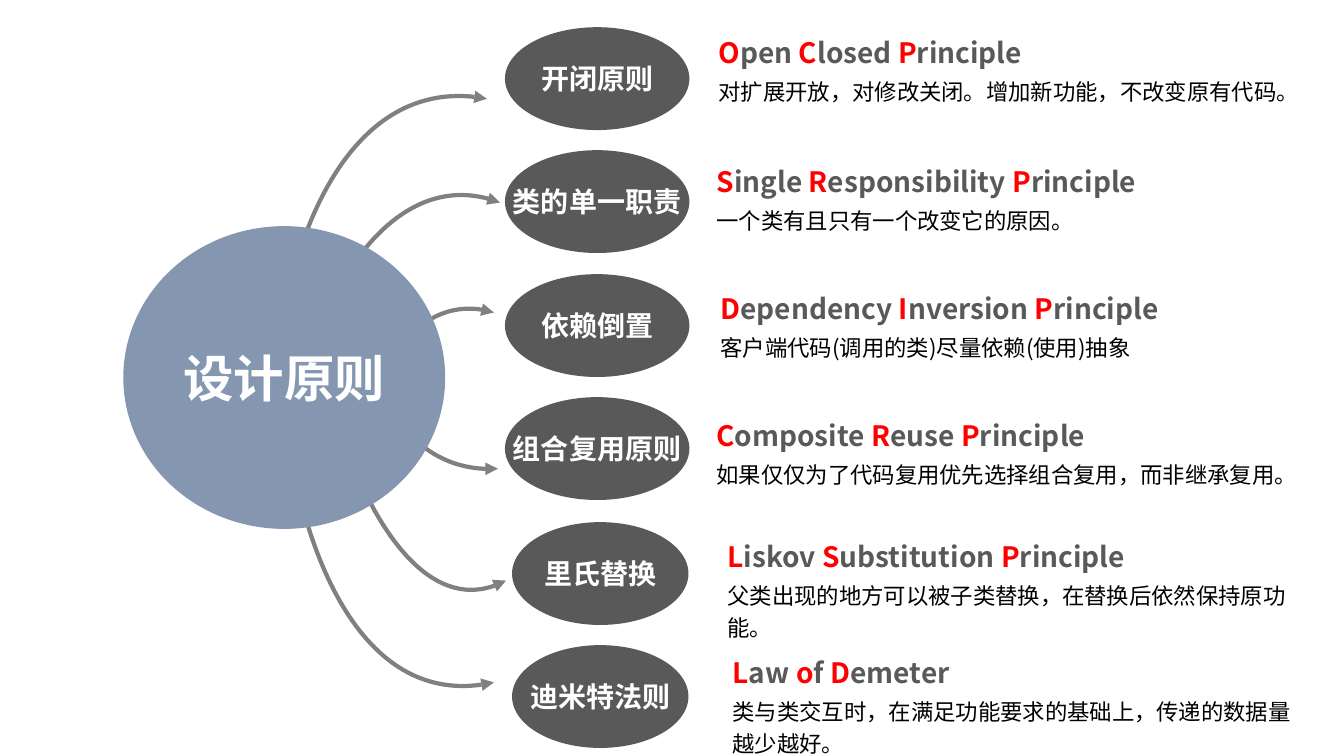
from itertools import cycle
from lxml import etree
from pptx import Presentation
from pptx.dml.color import RGBColor
from pptx.enum.shapes import MSO_SHAPE
from pptx.enum.text import MSO_ANCHOR, MSO_AUTO_SIZE, PP_ALIGN
from pptx.oxml.ns import qn
from pptx.util import Inches, Pt

OVAL = MSO_SHAPE.OVAL
MIDDLE = MSO_ANCHOR.MIDDLE
GROW = MSO_AUTO_SIZE.SHAPE_TO_FIT_TEXT
LEFT, CENTER = PP_ALIGN.LEFT, PP_ALIGN.CENTER
FONT = "Noto Sans CJK SC"
RED, DARK, GRAY, BLUE = "FF0000", "595959", "808080", "8496B0"
WHITE, BLACK = "FFFFFF", "000000"


def color(code):
    return RGBColor.from_string(code)


def write(shape, text, size=20, bold=True, colors=(WHITE,), align=LEFT,
          wrap=True, space=None):
    """Fill a shape with text; "|" parts the runs, which take colors in turn."""
    frame = shape.text_frame
    frame.word_wrap = wrap
    para = frame.paragraphs[0]
    para.alignment = align
    para.line_spacing = space
    for part, code in zip(text.split("|"), cycle(colors)):
        run = para.add_run()
        run.text = part
        run.font.size = Pt(size)
        run.font.bold = bold
        run.font.color.rgb = color(code)
        run.font.name = FONT
        east = etree.SubElement(run.font._element, qn("a:ea"))
        east.set("typeface", FONT)


deck = Presentation()
deck.slide_width, deck.slide_height = Inches(40 / 3), Inches(7.5)
slide = deck.slides.add_slide(deck.slide_layouts[6])
shapes = slide.shapes

# Curved arrows: tip, bend and end; the curve runs straight into its end
arrows = [
    ((4.83, 0.98), (3.29, 0.69), (2.88, 2.84)),
    ((4.94, 4.65), (4.11, 4.70), (3.82, 3.94)),
    ((4.96, 2.01), (3.92, 1.61), (3.32, 2.94)),
    ((4.90, 6.77), (3.30, 7.13), (2.92, 4.66)),
    ((5.02, 5.76), (4.07, 6.26), (3.48, 4.55)),
    ((4.90, 3.10), (4.28, 2.91), (3.93, 3.49)),
]
for tip, bend, end in arrows:
    path = shapes.build_freeform(Inches(tip[0]), Inches(tip[1]))
    path.add_line_segments([(Inches(end[0]), Inches(end[1]))], close=False)
    curve = path.convert_to_shape()
    curve.shadow.inherit = False
    curve.fill.background()
    curve.line.color.rgb = color(GRAY)
    curve.line.width = Pt(3)
    head = etree.SubElement(curve.line._get_or_add_ln(), qn("a:headEnd"))
    head.set("type", "triangle")
    # Turn the straight segment into a Bezier curve
    line = next(curve._element.iter(qn("a:lnTo")))
    line.getparent().append(etree.Element(qn("a:cubicBezTo")))
    bezier = line.getparent()[-1]
    for x, y in (bend, end, end):
        point = etree.SubElement(bezier, qn("a:pt"))
        point.set("x", str(Inches(x) - curve.left))
        point.set("y", str(Inches(y) - curve.top))
    line.getparent().remove(line)

# Principles: oval left, top, width; text left, top; body height;
# name, title, body
rows = [
    (5.01, 3.94, 1.83, 7.01, 4.10, 0.49, "组合复用原则",
     "C|omposite |R|euse |P|rinciple",
     "如果仅仅为了代码复用优先选择组合复用，而非继承复用。"),
    (5.01, 2.72, 1.83, 7.05, 2.84, 0.52, "依赖倒置",
     "D|ependency| I|nversion |P|rinciple",
     "客户端代码(调用的类)尽量依赖(使用)抽象"),
    (5.01, 1.49, 1.83, 7.01, 1.58, 0.49, "类的单一职责",
     "S|ingle |R|esponsibility |P|rinciple",
     "一个类有且只有一个改变它的原因。"),
    (5.01, 0.27, 1.83, 7.03, 0.30, 0.61, "开闭原则",
     "O|pen |C|losed |P|rinciple",
     "对扩展开放，对修改关闭。增加新功能，不改变原有代码。"),
    (5.08, 6.40, 1.75, 7.17, 6.45, 0.49, "迪米特法则",
     "L|aw |o|f |D|emeter",
     "类与类交互时，在满足功能要求的基础上，传递的数据量越少越好。"),
    (5.08, 5.18, 1.75, 7.12, 5.30, 0.52, "里氏替换",
     "L|iskov| S|ubstitution |P|rinciple",
     "父类出现的地方可以被子类替换，在替换后依然保持原功能。"),
]
for x, y, w, left, top, tall, name, title, body in rows:
    group = shapes.add_group_shape().shapes
    oval = group.add_shape(OVAL, Inches(x), Inches(y), Inches(w), Inches(1.02))
    oval.shadow.inherit = False
    oval.fill.solid()
    oval.fill.fore_color.rgb = color(DARK)
    oval.line.fill.background()
    oval.text_frame.vertical_anchor = MIDDLE
    write(oval, name, align=CENTER, wrap=False)

    # Title and explanation beside the oval
    box = group.add_textbox(Inches(left), Inches(top), Inches(5.85),
                            Inches(0.44))
    box.text_frame.auto_size = GROW
    write(box, title, colors=(RED, DARK))
    box = group.add_textbox(Inches(left), Inches(top + 0.37), Inches(5.85),
                            Inches(tall))
    write(box, body, size=16, bold=False, colors=(BLACK,), space=1.2)

# The hub comes last, so that it covers the ends of the arrows
hub = shapes.add_shape(OVAL, Inches(1.23), Inches(2.25), Inches(3.18),
                       Inches(2.99))
hub.shadow.inherit = False
hub.fill.solid()
hub.fill.fore_color.rgb = color(BLUE)
hub.line.color.rgb = color(BLUE)
hub.line.width = Pt(1)
hub.text_frame.vertical_anchor = MIDDLE
write(hub, "设计原则", size=36, align=CENTER)

deck.save("out.pptx")
